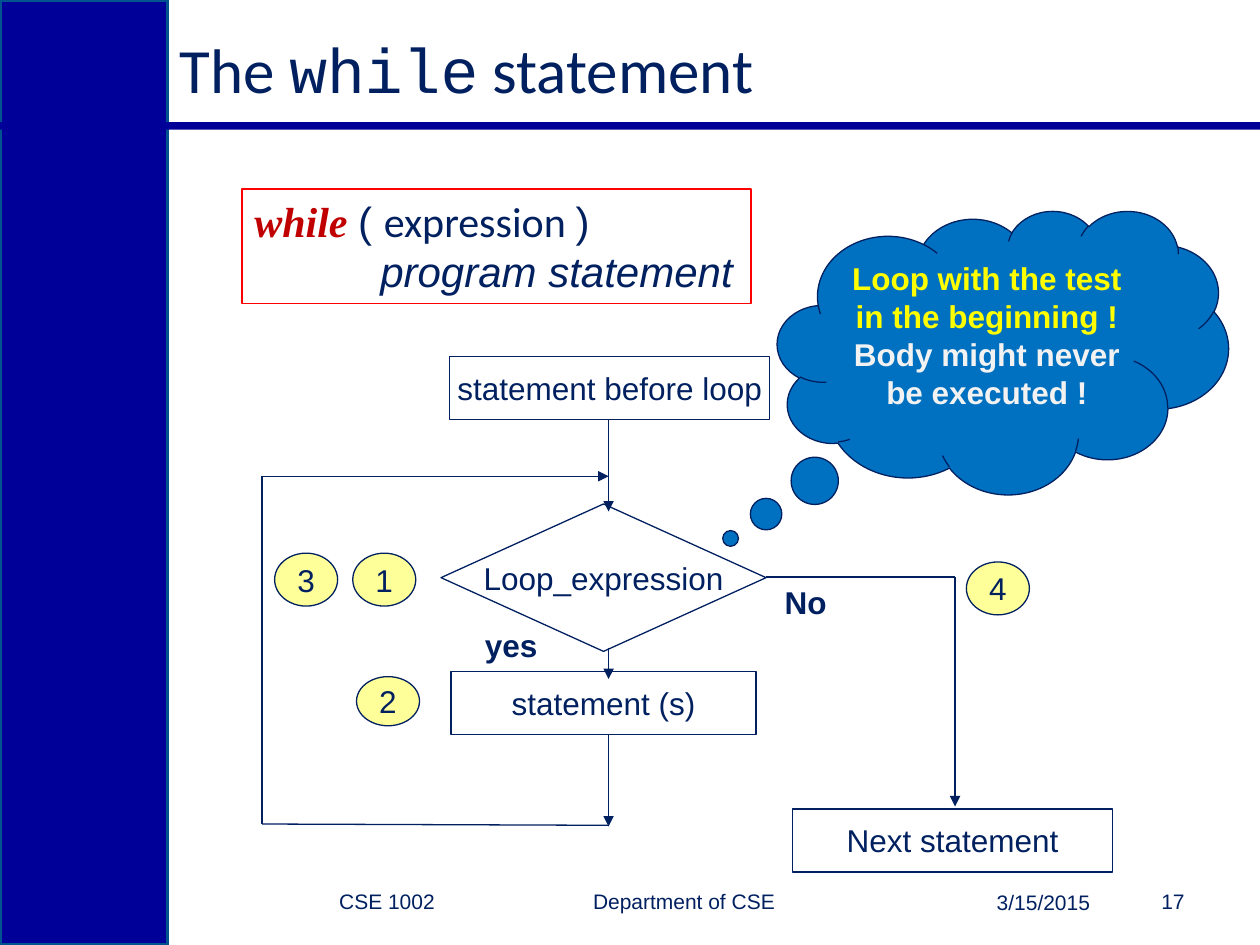
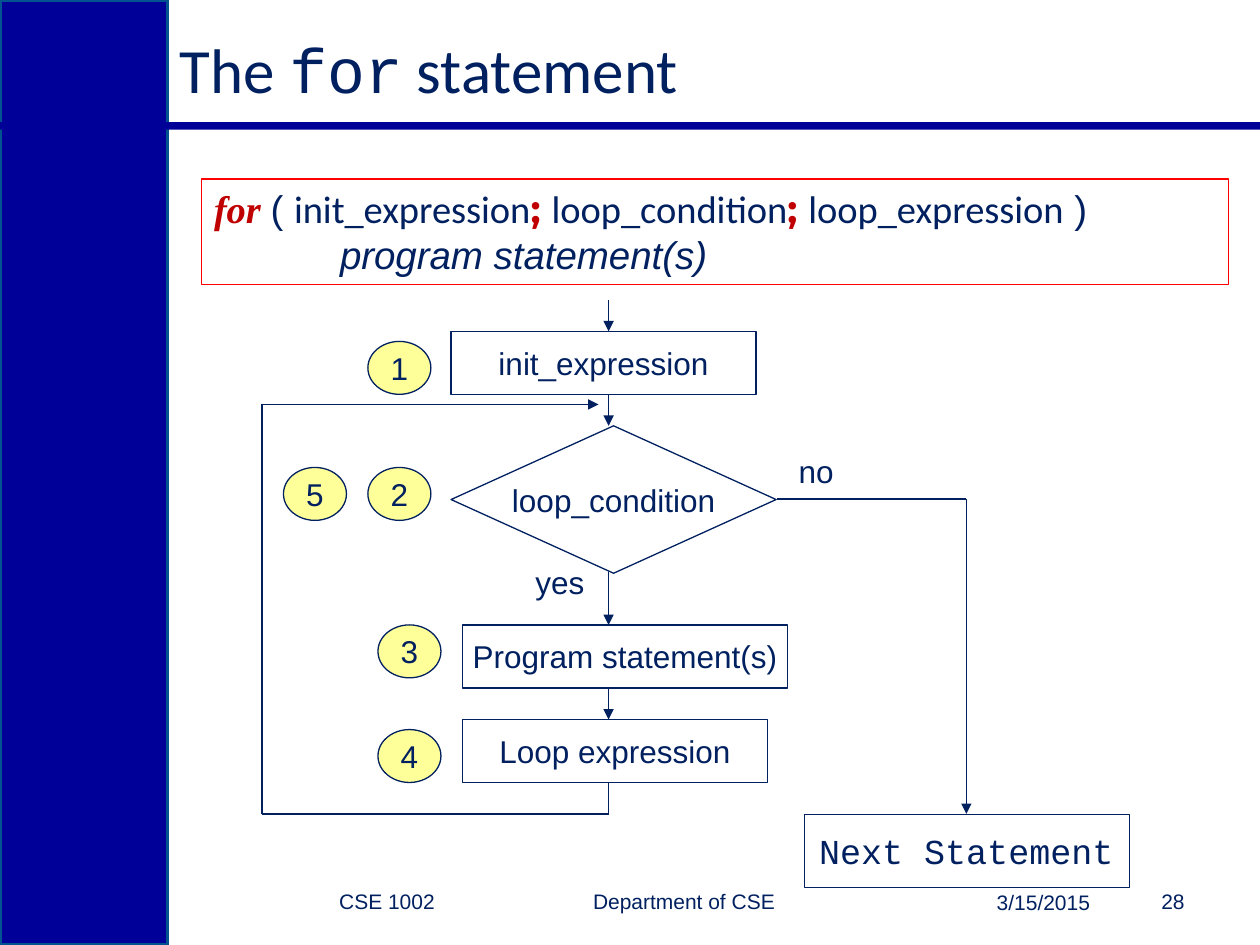
import pptx
import pptx.util
import pptx.dml.color
import pptx.enum.shapes
import pptx.enum.text
import pptx.oxml.ns
import lxml.etree

Inches, Pt = pptx.util.Inches, pptx.util.Pt
KIND = pptx.enum.shapes.MSO_SHAPE
ALIGN = pptx.enum.text.PP_ALIGN
ANCHOR = pptx.enum.text.MSO_ANCHOR

NAVY, BLUE, EDGE, RED = "002060", "000099", "00538E", "C00000"
SKY, CREAM = "0070C0", "FFFF99"

BODY = dict(name="Arial", size=18, color=NAVY)
BOLD = dict(BODY, bold=True)
HEAD = dict(BODY, name="Calibri", size=36)
HEADCODE = dict(HEAD, name="Courier New")
FOOT = dict(BODY, size=12)


def rgb(text):
    return pptx.dml.color.RGBColor.from_string(text)


def style(font, form):
    for key, value in form.items():
        if key == "color":
            font.color.rgb = rgb(value)
        else:
            setattr(font, key, Pt(value) if key == "size" else value)


def write(shape, paras, align=ALIGN.CENTER, anchor=ANCHOR.MIDDLE, wrap=False):
    """Fill a shape with paragraphs, each a list of (text, format) runs."""
    frame = shape.text_frame
    frame.word_wrap, frame.vertical_anchor = wrap, anchor
    for num, runs in enumerate(paras):
        para = frame.add_paragraph() if num else frame.paragraphs[0]
        para.alignment = align
        for text, form in runs:
            run = para.add_run()
            run.text = text
            style(run.font, form)


def draw(slide, kind, at, fill=None, line=NAVY, width=0.75):
    shape = slide.shapes.add_shape(kind, *map(Inches, at))
    shape.shadow.inherit = False
    if fill:
        shape.fill.solid()
        shape.fill.fore_color.rgb = rgb(fill)
    else:
        shape.fill.background()
    if line:
        shape.line.color.rgb = rgb(line)
        shape.line.width = Pt(width)
    else:
        shape.line.fill.background()
    return shape


def label(slide, at, runs, **form):
    write(slide.shapes.add_textbox(*map(Inches, at)), [runs], **form)


def trace(slide, points, arrow=True):
    """Join points with straight lines; the last one may end in an arrow."""
    for start, end in zip(points, points[1:]):
        line = slide.shapes.add_connector(
            pptx.enum.shapes.MSO_CONNECTOR.STRAIGHT, *map(Inches, start + end))
        line.line.color.rgb = rgb(NAVY)
        line.line.width = Pt(0.75)
        props = line._element.spPr
        lxml.etree.SubElement(props, pptx.oxml.ns.qn("a:effectLst"))
        if arrow and end == points[-1]:
            lxml.etree.SubElement(line.line._get_or_add_ln(),
                                  pptx.oxml.ns.qn("a:tailEnd"), type="triangle")


def frame(slide, word, page):
    """Side band, rule, title and footer of every slide."""
    draw(slide, KIND.RECTANGLE, (0, 0, 1.33, 7.5), BLUE, EDGE, 2)
    draw(slide, KIND.RECTANGLE, (0, 0.97, 10, 0.06), BLUE, None)
    label(slide, (1.33, 0.17, 7.83, 0.75),
          [("The ", HEAD), (word, HEADCODE), (" statement", HEAD)],
          align=ALIGN.LEFT, wrap=True)
    for text, left, top, width in (("CSE 1002", 1.42, 6.95, 2.13),
                                   ("Department of CSE", 3.55, 6.95, 2.7),
                                   ("3/15/2015", 7, 6.96, 1.75),
                                   (page, 8.75, 6.95, 0.75)):
        label(slide, (left, top, width, 0.4), [(text, FOOT)],
              align=ALIGN.RIGHT, wrap=True)


def syntax(slide, at, first, second, size):
    """Red box: the head of the loop, then its indented body."""
    shape = draw(slide, KIND.RECTANGLE, at, line="FF0000")
    base = dict(BODY, size=size, bold=False, italic=False)
    forms = dict(key=dict(base, name="Times New Roman", color=RED,
                          bold=True, italic=True),
                 mark=dict(base, name="Montserrat", color=RED, bold=True),
                 word=dict(base, name="Calibri"), sign=base)
    write(shape, [[(text, forms[kind]) for text, kind in first],
                  [(second, dict(base, italic=True))]],
          ALIGN.LEFT, ANCHOR.TOP, True)
    shape.text_frame.margin_right = 0
    body = shape.text_frame.paragraphs[1]
    body._p.get_or_add_pPr().set("marL", str(Inches(1)))


def cloud(slide, at):
    shape = draw(slide, KIND.CLOUD_CALLOUT, at, SKY)
    shape.adjustments[0], shape.adjustments[1] = -0.604, 0.657
    write(shape, [[("Loop with the test in the beginning !",
                    dict(BOLD, color="FFFF00"))],
                  [("Body might never be executed !",
                    dict(BOLD, color="F2F2F2"))]],
          anchor=ANCHOR.TOP, wrap=True)


def flow(slide, box, steps, test, paths, notes, marks, form=BODY):
    """Flow chart; all places are measured from the corner of its box."""
    left, top = box

    def place(x, y, *size):
        return (left + x, top + y) + size

    # Steps and the test
    for text, x, y, width in steps:
        shape = draw(slide, KIND.FLOWCHART_PROCESS, place(x, y, width, 0.5))
        write(shape, [[(text, BODY)]])
    text, x, y = test
    shape = draw(slide, KIND.FLOWCHART_DECISION, place(x, y, 2.58, 1.17))
    write(shape, [[(text, BODY)]])
    # Arrows
    for points in paths:
        trace(slide, [place(*point) for point in points])
    # Branch names
    for text, x, y, width in notes:
        label(slide, place(x, y, width, 0.4), [(text, form)],
              align=ALIGN.LEFT, anchor=ANCHOR.TOP)
    # Order of the steps
    for num, (x, y, high) in enumerate(marks, 1):
        shape = draw(slide, KIND.OVAL, place(x, y, 0.5, high), CREAM)
        write(shape, [[(str(num), BODY)]])


def drops(*spans):
    """Arrows down the main stem."""
    return [[(2.75, start), (2.75, end)] for start, end in spans]


def first(slide):
    frame(slide, "while", "17")
    syntax(slide, (1.92, 1.5, 4.04, 0.91),
           [("while ", "key"), ("( ", "sign"), ("expression ", "word"),
            (")", "sign")], "program statement", 24)
    cloud(slide, (6.17, 1.67, 3.58, 2.25))
    flow(slide, (2.08, 2.83),
         [("statement before loop", 1.49, 0, 2.54),
          ("statement (s)", 1.5, 2.5, 2.42),
          ("Next statement", 4.21, 3.59, 2.54)],
         ("Loop_expression", 1.42, 1.17),
         drops((0.5, 1.23), (2.31, 2.56), (3, 3.73)) + [
             [(2.75, 3.72), (0, 3.71), (0, 0.95), (2.75, 0.95)],
             [(4, 1.75), (5.5, 1.75), (5.5, 3.57)]],
         [("yes", 1.67, 2.09, 0.62), ("No", 4.05, 1.75, 0.54)],
         [(0.72, 1.56, 0.42), (0.75, 2.54, 0.39), (0.1, 1.56, 0.42),
          (5.59, 1.63, 0.42)], BOLD)


def second(slide):
    frame(slide, "for", "28")
    syntax(slide, (1.6, 1.42, 8.15, 0.84),
           [("for ", "key"), ("( ", "sign"), ("init_expression", "word"),
            ("; ", "mark"), ("loop_condition", "word"), ("; ", "mark"),
            ("loop_expression", "word"), (" )", "sign")],
           "program statement(s)", 22)
    flow(slide, (2.08, 2.38),
         [("init_expression", 1.5, 0.25, 2.42),
          ("Program statement(s)", 1.59, 2.58, 2.58),
          ("Loop expression", 1.59, 3.33, 2.42)],
         ("loop_condition", 1.5, 1),
         drops((0, 0.25), (0.75, 1), (2.16, 2.58), (3.08, 3.33)) + [
             [(2.75, 3.83), (2.75, 4.08), (0, 4.08), (0, 0.83), (2.67, 0.83)],
             [(4.09, 1.58), (5.59, 1.58), (5.59, 4.08)]],
         [("yes", 2.07, 2.04, 0.59), ("no", 4.16, 1.16, 0.48)],
         [(x, y, 0.42) for x, y in ((0.84, 0.33), (0.84, 1.33), (0.92, 2.58),
                                    (0.92, 3.41), (0.17, 1.33))])
    # Way out of the loop
    shape = draw(slide, KIND.RECTANGLE, (6.38, 6.46, 2.58, 0.58), width=0.25)
    write(shape, [[("Next Statement", dict(BODY, name="Courier New", size=20))]],
          wrap=True)


deck = pptx.Presentation()
deck.slide_width, deck.slide_height = Inches(10), Inches(7.5)
for build in (first, second):
    build(deck.slides.add_slide(deck.slide_layouts[6]))
deck.save("out.pptx")
